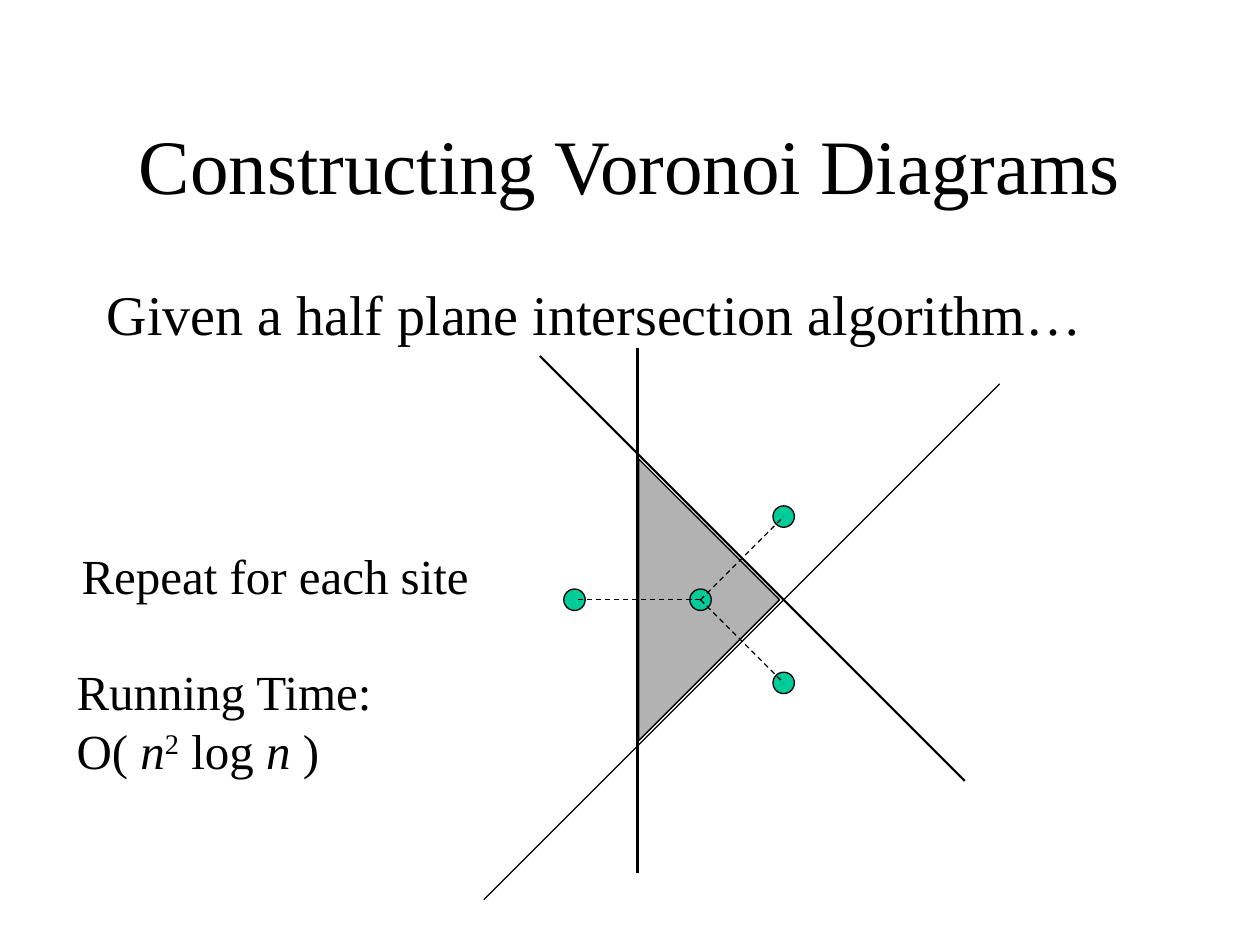
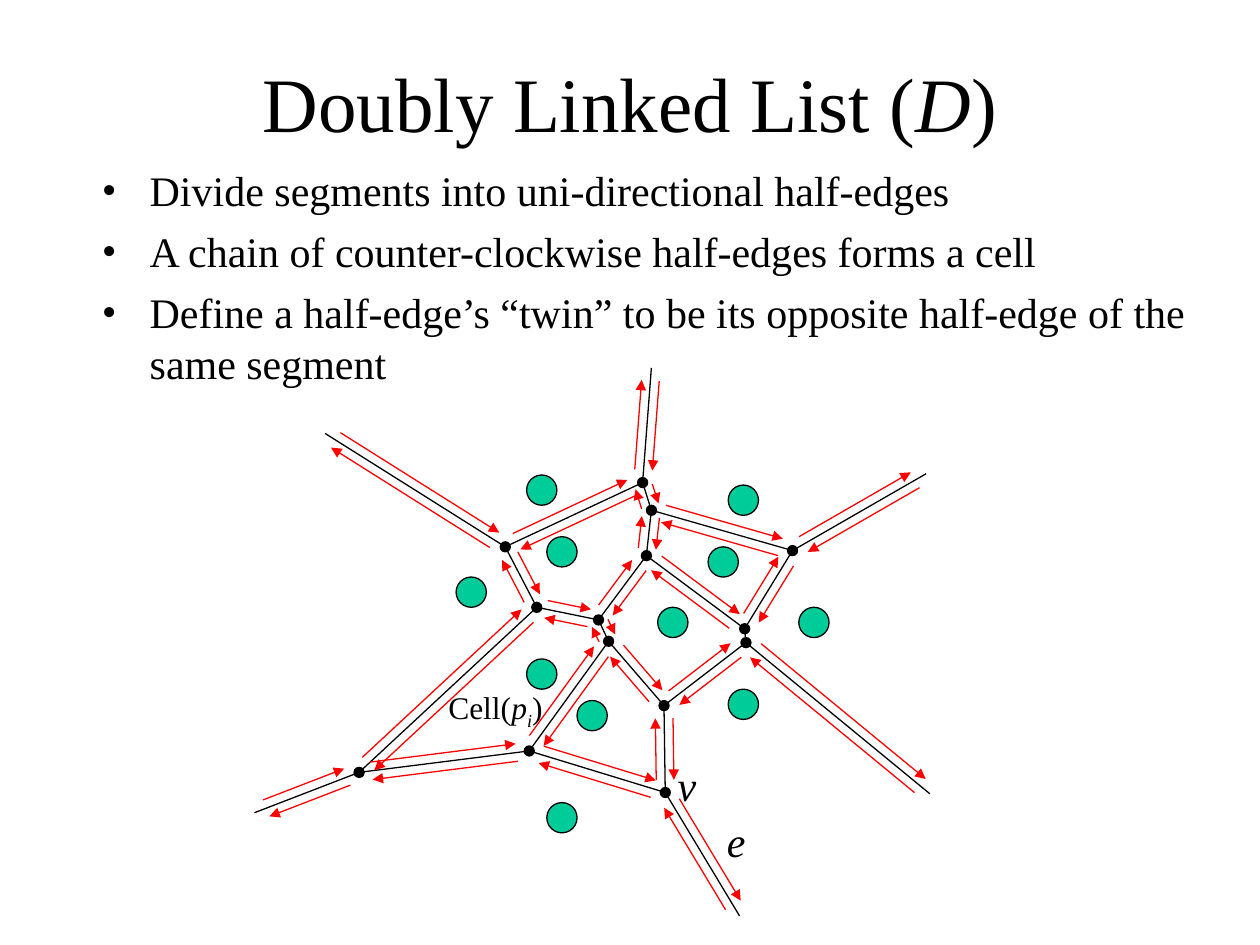
"""Build two slides on constructing and storing Voronoi diagrams."""
from dataclasses import dataclass
from itertools import pairwise
from math import hypot

from lxml.etree import SubElement
from pptx import Presentation
from pptx.dml.color import RGBColor
from pptx.enum.dml import MSO_LINE
from pptx.enum.shapes import MSO_CONNECTOR, MSO_SHAPE
from pptx.enum.text import MSO_ANCHOR, PP_ALIGN
from pptx.oxml.ns import qn
from pptx.util import Cm, Pt


@dataclass(frozen=True)
class Theme:
    font: str = "Times New Roman"
    ink: RGBColor = RGBColor(0x00, 0x00, 0x00)
    paper: RGBColor = RGBColor(0xFF, 0xFF, 0xFF)
    site: RGBColor = RGBColor(0x00, 0xCC, 0x99)
    region: RGBColor = RGBColor(0xB2, 0xB2, 0xB2)
    half_edge: RGBColor = RGBColor(0xFF, 0x00, 0x00)
    title_size: int = 44
    lead_size: int = 32
    note_size: int = 28
    body_size: int = 24
    cell_size: int = 18
    thin: float = 0.75
    thick: float = 1.25


@dataclass(frozen=True)
class Neighbor:
    offset: tuple
    reach_back: float
    reach_ahead: float
    width: float


THEME = Theme()
BASELINES = {"super": "30000", "sub": "-25000"}

CENTER_SITE = (5.56, 4.76)
NEIGHBORS = [
    Neighbor((-1, 0), 2, 2.17, THEME.thick),
    Neighbor((0.66, -0.66), 2.5, 2.27, THEME.thick),
    Neighbor((0.66, 0.66), 2.9, 2.89, THEME.thin),
]

HALF_EDGE_POINTS = [
    "Divide segments into uni-directional half-edges",
    "A chain of counter-clockwise half-edges forms a cell",
    "Define a half-edge’s “twin” to be its opposite half-edge of the same segment",
]

VERTICES = {
    "north": (5.1, 3.83), "north_fork": (5.17, 4.05), "northeast": (6.29, 4.37),
    "northwest": (4.01, 4.34), "west": (4.26, 4.82), "southwest": (2.85, 6.13),
    "south_fork": (4.2, 5.96), "south": (5.28, 6.29),
    "hub_top": (5.13, 4.41), "hub_right": (5.91, 4.99), "hub_low_right": (5.92, 5.1),
    "hub_bottom": (5.27, 5.6), "hub_low_left": (4.83, 5.09), "hub_left": (4.75, 4.92),
}
CHAINS = [
    "hub_top hub_right hub_low_right hub_bottom hub_low_left hub_left hub_top",
    "north northwest west southwest south_fork south hub_bottom",
    "north north_fork northeast hub_right",
    "north_fork hub_top",
    "west hub_left",
    "hub_low_left south_fork",
]
RAY_ENDS = {
    "north": (5.17, 2.92), "northwest": (2.58, 3.44), "northeast": (7.35, 3.76),
    "hub_low_right": (7.38, 6.3), "south": (5.87, 7.27), "southwest": (2.02, 6.45),
}
CELL_SITES = [
    (4.46, 6.49), (4.7, 5.68), (5.34, 4.94), (5.9, 5.59), (6.46, 4.94), (5.74, 4.46),
    (5.9, 3.97), (4.3, 5.35), (3.74, 4.7), (4.46, 4.38), (4.3, 3.89),
]

HALF_EDGE_OFFSET = 0.07
HALF_EDGE_TRIM = 0.1
HALF_EDGE_TRIM_SHARE = 0.15
SHORTEST_SPLIT_EDGE = 0.15


def lengths(*inches):
    """Turn inch values into slide lengths."""
    return [Cm(value * 2.54) for value in inches]


def move(point, direction, distance):
    """Return the point moved by a distance along a unit direction."""
    return tuple(value + distance * step for value, step in zip(point, direction))


def measure(start, end):
    """Return the length, forward and left directions of a segment."""
    across, down = end[0] - start[0], end[1] - start[1]
    length = hypot(across, down)
    return length, (across / length, down / length), (down / length, -across / length)


def bisector(start, end, reach_back, reach_ahead):
    """Return the ends of a line square to a segment through its middle."""
    length, forward, left = measure(start, end)
    middle = move(start, forward, length / 2)
    return move(middle, left, -reach_back), move(middle, left, reach_ahead)


def half_edge(start, end):
    """Return the shortened segment that runs along the left side of an edge."""
    length, forward, left = measure(start, end)
    trim = min(HALF_EDGE_TRIM, HALF_EDGE_TRIM_SHARE * length)
    tail = move(move(start, left, HALF_EDGE_OFFSET), forward, trim)
    return tail, move(tail, forward, length - 2 * trim)


def diagram_edges():
    """Return every edge of the diagram as a pair of points."""
    edges = [(VERTICES[start], VERTICES[end])
             for chain in CHAINS for start, end in pairwise(chain.split())]
    return edges + [(VERTICES[name], end) for name, end in RAY_ENDS.items()]


def add_page(deck):
    """Add a blank page with the theme background."""
    page = deck.slides.add_slide(deck.slide_layouts[6])
    page.background.fill.solid()
    page.background.fill.fore_color.rgb = THEME.paper
    return page


def write_spans(paragraph, spans, size):
    """Fill a paragraph with (text, styles) spans in the theme font."""
    for text, styles in spans:
        first = len(paragraph.runs)
        if first:
            paragraph.add_run().text = text
        else:
            paragraph.text = text
        for run in paragraph.runs[first:]:
            run.font.name = THEME.font
            run.font.size = Pt(size)
            run.font.color.rgb = THEME.ink
            run.font.italic = "italic" in styles
            for style in BASELINES.keys() & set(styles.split()):
                run.font._element.set("baseline", BASELINES[style])


def add_text(page, place, spans, size):
    """Add a wrapped text box holding one paragraph."""
    box = page.shapes.add_textbox(*lengths(*place))
    box.text_frame.word_wrap = True
    write_spans(box.text_frame.paragraphs[0], spans, size)
    return box


def add_title(page, top, spans):
    """Add the centred page title."""
    box = add_text(page, (0.75, top, 8.5, 1.25), spans, THEME.title_size)
    box.text_frame.vertical_anchor = MSO_ANCHOR.MIDDLE
    box.text_frame.paragraphs[0].alignment = PP_ALIGN.CENTER


def add_bullets(page, place, points):
    """Add a bulleted list with hanging indents."""
    frame = add_text(page, place, [], THEME.body_size).text_frame
    indent = lengths(0.38)[0]
    for index, point in enumerate(points):
        paragraph = frame.add_paragraph() if index else frame.paragraphs[0]
        properties = paragraph._p.get_or_add_pPr()
        properties.set("marL", str(indent))
        properties.set("indent", str(-indent))
        SubElement(properties, qn("a:buFont")).set("typeface", THEME.font)
        SubElement(properties, qn("a:buChar")).set("char", "•")
        if index:
            paragraph.space_before = Pt(6)
        write_spans(paragraph, [(point, "")], THEME.body_size)


def add_figure(page, kind, center, size, fill, outlined=True):
    """Add a filled shape of equal width and height around a center point."""
    left, top = (value - size / 2 for value in center)
    shape = page.shapes.add_shape(kind, *lengths(left, top, size, size))
    shape.shadow.inherit = False
    shape.fill.solid()
    shape.fill.fore_color.rgb = fill
    if outlined:
        shape.line.color.rgb = THEME.ink
        shape.line.width = Pt(THEME.thin)
    else:
        shape.line.fill.background()
    return shape


def add_line(page, start, end, color=THEME.ink, width=THEME.thin, dashed=False, arrow=False):
    """Draw a straight line, optionally dashed or with an arrowhead at its end."""
    line = page.shapes.add_connector(MSO_CONNECTOR.STRAIGHT, *lengths(*start, *end))
    line.line.color.rgb = color
    line.line.width = Pt(width)
    if dashed:
        line.line.dash_style = MSO_LINE.DASH
    if arrow:
        SubElement(line.line._get_or_add_ln(), qn("a:tailEnd")).set("type", "triangle")
    SubElement(line._element.spPr, qn("a:effectLst"))


def add_half_edges(page, start, end):
    """Draw the twin half-edges of an edge, unless it is too short."""
    if measure(start, end)[0] < SHORTEST_SPLIT_EDGE:
        return
    for twin in (half_edge(start, end), half_edge(end, start)):
        add_line(page, *twin, color=THEME.half_edge, arrow=True)


def build_construction(deck):
    """Build the page on half plane intersection."""
    page = add_page(deck)
    add_title(page, 0.67, [("Constructing Voronoi Diagrams", "")])
    add_text(page, (0.75, 2.17, 8.5, 0.65),
             [("Given a half plane intersection algorithm…", "")], THEME.lead_size)
    region = add_figure(page, MSO_SHAPE.RIGHT_TRIANGLE, (5.07, 4.76), 1.58, THEME.region)
    region.rotation = 225
    add_figure(page, MSO_SHAPE.OVAL, CENTER_SITE, 0.17, THEME.site)
    for neighbor in NEIGHBORS:
        site = move(CENTER_SITE, neighbor.offset, 1)
        add_figure(page, MSO_SHAPE.OVAL, site, 0.17, THEME.site)
        add_line(page, CENTER_SITE, site, dashed=True)
        ends = bisector(CENTER_SITE, site, neighbor.reach_back, neighbor.reach_ahead)
        add_line(page, *ends, width=neighbor.width)
    add_text(page, (0.55, 4.28, 3.4, 0.57), [("Repeat for each site", "")], THEME.note_size)
    running_time = [("Running Time:\vO( ", ""), ("n", "italic"), ("2", "super"),
                    (" log ", ""), ("n ", "italic"), (")", "")]
    add_text(page, (0.51, 5.2, 2.7, 1.04), running_time, THEME.note_size)


def build_linked_list(deck):
    """Build the page on half-edges and their twins."""
    page = add_page(deck)
    add_title(page, 0.18, [("Doubly Linked List (", ""), ("D", "italic"), (")", "")])
    add_bullets(page, (0.71, 1.26, 9, 1.92), HALF_EDGE_POINTS)
    edges = diagram_edges()
    for edge in edges:
        add_line(page, *edge)
    add_text(page, (5.67, 6.42, 0.4, 0.5), [("e", "italic")], THEME.body_size)
    add_text(page, (5.28, 5.98, 0.4, 0.5), [("v", "italic")], THEME.body_size)
    for vertex in VERTICES.values():
        add_figure(page, MSO_SHAPE.OVAL, vertex, 0.09, THEME.ink, outlined=False)
    for site in CELL_SITES:
        add_figure(page, MSO_SHAPE.OVAL, site, 0.24, THEME.site)
    cell = [("Cell(", ""), ("p", "italic"), ("i", "italic sub"), (")", "")]
    add_text(page, (3.46, 5.41, 1.1, 0.44), cell, THEME.cell_size)
    for edge in edges:
        add_half_edges(page, *edge)


def main():
    """Build and save the deck."""
    deck = Presentation()
    deck.slide_width, deck.slide_height = lengths(10, 7.5)
    build_construction(deck)
    build_linked_list(deck)
    deck.save("out.pptx")


if __name__ == "__main__":
    main()
